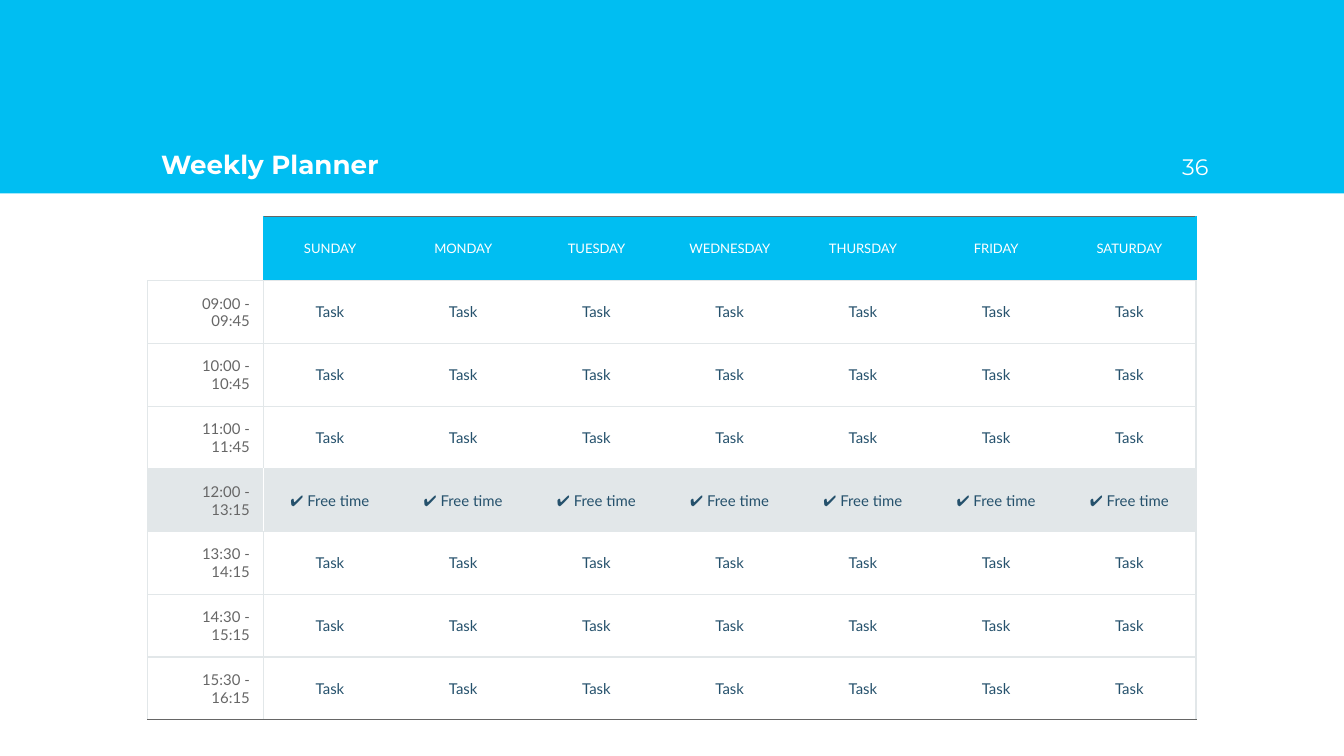
"""Builds a weekly planner slide with a banner and a timetable."""
import pptx
import pptx.dml.color
import pptx.enum.shapes
import pptx.enum.text
import pptx.oxml.ns
import pptx.util
from lxml import etree

RGBColor = pptx.dml.color.RGBColor
CYAN = RGBColor(0x00, 0xBE, 0xF2)
WHITE = RGBColor(0xFF, 0xFF, 0xFF)
MIST = RGBColor(0xE2, 0xE7, 0xE9)
GREY = RGBColor(0x66, 0x66, 0x66)
NAVY = RGBColor(0x25, 0x51, 0x6C)
LEFT = pptx.enum.text.PP_ALIGN.LEFT
CENTER = pptx.enum.text.PP_ALIGN.CENTER
RIGHT = pptx.enum.text.PP_ALIGN.RIGHT
inches = pptx.util.Inches
qn = pptx.oxml.ns.qn

DAYS = ["SUNDAY", "MONDAY", "TUESDAY", "WEDNESDAY", "THURSDAY", "FRIDAY", "SATURDAY"]
TIMES = ["09:00 - 09:45", "10:00 - 10:45", "11:00 - 11:45", "12:00 - 13:15",
         "13:30 - 14:15", "14:30 - 15:15", "15:30 - 16:15"]
BREAK_ROW = 4
LAST_ROW, LAST_COLUMN = len(TIMES), len(DAYS)

INSET = inches(0.1)
BANNER_HEIGHT = 1.44
TITLE_TOP = 0.71
TABLE_LEFT, TABLE_TOP = 1.1, 1.61
TIME_WIDTH, DAY_WIDTH = 0.86, 6.94 / len(DAYS)
HEADER_HEIGHT, SLOT_HEIGHT = 0.48, 0.38
PLAIN_STYLE = "{2D5ABB26-0587-4C30-8999-92F81FD0307C}"


def write(frame, text, size, font, color, align, bold=False):
    para = frame.paragraphs[0]
    para.alignment = align
    span = para.add_run()
    span.text = text
    span.font.size = pptx.util.Pt(size)
    span.font.name = font
    span.font.color.rgb = color
    span.font.bold = bold


def add_border(cell, side, color):
    line = etree.SubElement(cell._tc.get_or_add_tcPr(), qn("a:ln" + side))
    if color is None:
        line.set("w", "0")
        etree.SubElement(line, qn("a:noFill"))
    else:
        line.set("w", str(pptx.util.Pt(0.75)))
        fill = etree.SubElement(line, qn("a:solidFill"))
        etree.SubElement(fill, qn("a:srgbClr")).set("val", str(color))


deck = pptx.Presentation()
deck.slide_width = inches(10)
deck.slide_height = deck.slide_width * 9 // 16
page = deck.slides.add_slide(deck.slide_layouts[6])

banner = page.shapes.add_shape(pptx.enum.shapes.MSO_SHAPE.RECTANGLE, 0, 0,
                               deck.slide_width, inches(BANNER_HEIGHT))
banner.shadow.inherit = False
banner.fill.solid()
banner.fill.fore_color.rgb = CYAN
banner.line.fill.background()

for left, width, text, size, align, bold in [
    (TABLE_LEFT, 7.8, "Weekly Planner", 14, LEFT, True),
    (8.49, 0.6, "36", 12, RIGHT, False),
]:
    box = page.shapes.add_textbox(inches(left), inches(TITLE_TOP), inches(width),
                                  inches(BANNER_HEIGHT - TITLE_TOP))
    frame = box.text_frame
    frame.word_wrap = True
    frame.vertical_anchor = pptx.enum.text.MSO_ANCHOR.BOTTOM
    frame.margin_left = frame.margin_right = INSET
    frame.margin_top = frame.margin_bottom = INSET
    write(frame, text, size, "Montserrat", WHITE, align, bold)

planner = page.shapes.add_table(
    LAST_ROW + 1, LAST_COLUMN + 1, inches(TABLE_LEFT), inches(TABLE_TOP),
    inches(TIME_WIDTH + DAY_WIDTH * len(DAYS)),
    inches(HEADER_HEIGHT + SLOT_HEIGHT * len(TIMES))).table
planner.first_row = planner.horz_banding = False
planner._tbl.tblPr.find(qn("a:tableStyleId")).text = PLAIN_STYLE
for index, column in enumerate(planner.columns):
    column.width = inches(DAY_WIDTH if index else TIME_WIDTH)
for index, row in enumerate(planner.rows):
    row.height = inches(SLOT_HEIGHT if index else HEADER_HEIGHT)

for row in range(LAST_ROW + 1):
    for column in range(LAST_COLUMN + 1):
        cell = planner.cell(row, column)
        cell.vertical_anchor = pptx.enum.text.MSO_ANCHOR.MIDDLE
        cell.margin_left = cell.margin_right = INSET
        cell.margin_top = cell.margin_bottom = INSET

        corner = row == 0 and column == 0
        edge = CYAN if row == 0 else MIST
        divider = WHITE if row == BREAK_ROW else edge
        outer_left = None if corner else edge
        add_border(cell, "L", {0: outer_left, 1: divider}.get(column))
        add_border(cell, "R", {0: divider, LAST_COLUMN: edge}.get(column))
        add_border(cell, "T", None if corner else GREY if row == 0 else MIST)
        add_border(cell, "B", GREY if row == LAST_ROW else MIST)

        back = CYAN if row == 0 else MIST if row == BREAK_ROW else None
        if corner or back is None:
            cell.fill.background()
        else:
            cell.fill.solid()
            cell.fill.fore_color.rgb = back

        if corner:
            para = cell.text_frame.paragraphs[0]
            etree.SubElement(para._p, qn("a:endParaRPr")).set("sz", "700")
        elif row == 0:
            write(cell.text_frame, DAYS[column - 1], 7, "Lato", WHITE, CENTER)
        elif column == 0:
            write(cell.text_frame, TIMES[row - 1], 8, "Lato", GREY, RIGHT)
        else:
            text = "✔ Free time" if row == BREAK_ROW else "Task"
            write(cell.text_frame, text, 8, "Lato", NAVY, CENTER)

deck.save("out.pptx")
